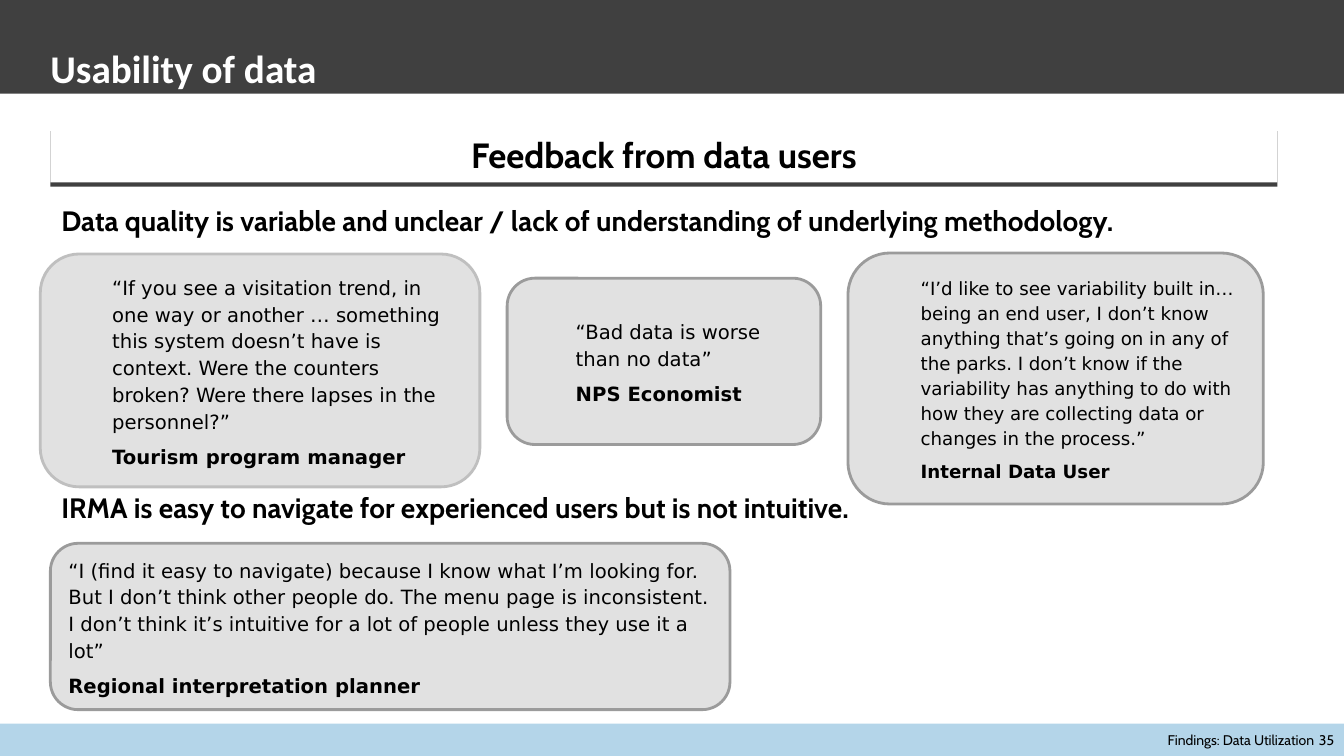
"""Build the slide on the usability of data with quotes from its users."""
from lxml.etree import SubElement as Sub
from pptx import Presentation as Deck
from pptx.dml.color import RGBColor as RGB
from pptx.enum.shapes import MSO_SHAPE as Kind
from pptx.enum.text import MSO_ANCHOR as Anchor, PP_ALIGN as Align
from pptx.oxml.ns import qn
from pptx.util import Inches, Pt

DARK, BLUE, GREY, BLACK, WHITE = "404040", "82BADB", "E1E1E1", "000000", "FFFFFF"
WIDE, HIGH, LEFT, SPAN = 13.33, 7.5, 0.5, 12.17
TITLE = "Usability of data"
BANNER = "Feedback from data users"
FOOTER = "Findings: Data Utilization \t35"
POINTS = [
    (1.97, "Data quality is variable and unclear / lack of understanding of underlying methodology."),
    (4.81, "IRMA is easy to navigate for experienced users but is not intuitive."),
]
QUOTES = [
    ((0.4, 2.52, 4.36, 2.31), "BFBFBF", 14, 0.5,
     "“If you see a visitation trend, in one way or another … something this system doesn’t have is "
     "context. Were the counters broken? Were there lapses in the personnel?”",
     "Tourism program manager"),
    ((8.41, 2.51, 4.12, 2.49), "9B9B9B", 13, 0.5,
     "“I’d like to see variability built in…being an end user, I don’t know anything that’s going on "
     "in any of the parks. I don’t know if the variability has anything to do with how they are "
     "collecting data or changes in the process.”",
     "Internal Data User"),
    ((5.03, 2.76, 3.11, 1.65), "9B9B9B", 14, 0.5,
     "“Bad data is worse than no data”",
     "NPS Economist"),
    ((0.5, 5.39, 6.74, 1.65), "9B9B9B", 14, 0,
     "“I (find it easy to navigate) because I know what I’m looking for. But I don’t think other "
     "people do. The menu page is inconsistent. I don’t think it’s intuitive for a lot of people "
     "unless they use it a lot”",
     "Regional interpretation planner"),
]
HEAD = {"name": "Calibri", "size": Pt(28), "bold": True}
BAND = {"name": "Cabin", "size": Pt(25), "bold": True}
POINT = {"name": "Cabin", "size": Pt(20), "bold": True}
FOOT = {"name": "Cabin", "size": Pt(10)}
LEFTED, MIDDLE, RIGHT = ({"alignment": a} for a in (Align.LEFT, Align.CENTER, Align.RIGHT))
SPEECH = {"alignment": Align.LEFT, "line_spacing": 1.14, "space_after": Pt(6)}


def apply(item, values):
    for key, value in values.items():
        setattr(item, key, value)


def tint(part, color):
    part.solid()
    part.fore_color.rgb = RGB.from_string(color)


def write(shape, lines, para, color=BLACK, anchor=Anchor.MIDDLE, **frame):
    box = shape.text_frame
    apply(box, {"word_wrap": True, "vertical_anchor": anchor, **frame})
    for i, (text, font) in enumerate(lines):
        p = box.add_paragraph() if i else box.paragraphs[0]
        apply(p, para)
        run = p.add_run()
        run.text = text
        apply(run.font, font)
        tint(run.font.fill, color)


def block(shapes, kind, place, fill, edge=None):
    shape = shapes.add_shape(kind, *map(Inches, place))
    shape.shadow.inherit = False
    tint(shape.fill, fill)
    if edge:
        tint(shape.line.fill, edge)
        shape.line.width = Pt(2)
    else:
        shape.line.fill.background()
    return shape


def label(shapes, place, *args, **frame):
    write(shapes.add_textbox(*map(Inches, place)), *args, **frame)


def fade(shape, share):
    tone = next(shape.element.iter(qn("a:srgbClr")))
    Sub(tone, qn("a:alpha"), val=str(share * 1000))


def drop(shape, color, gap):
    effect = shape.element.spPr.find(qn("a:effectLst"))
    shade = Sub(effect, qn("a:outerShdw"), blurRad="0", dist=str(Pt(gap)), dir="5400000",
                algn="t", rotWithShape="0")
    Sub(shade, qn("a:srgbClr"), val=color)


def main():
    deck = Deck()
    deck.slide_width, deck.slide_height = Inches(WIDE), Inches(HIGH)
    shapes = deck.slides.add_slide(deck.slide_layouts[6]).shapes

    block(shapes, Kind.RECTANGLE, (0, 0, WIDE, 0.93), DARK)
    fade(block(shapes, Kind.RECTANGLE, (0, 7.18, WIDE, 0.33), BLUE), 60)
    label(shapes, (LEFT, 0.02, 11.54, 0.89), [(TITLE, HEAD)], LEFTED, WHITE, Anchor.BOTTOM,
          margin_left=0, margin_bottom=0)
    for top, text in POINTS:
        label(shapes, (LEFT + 0.01, top, SPAN, 0.44), [(text, POINT)], LEFTED)
    label(shapes, (10.22, 7.2, 3.11, 0.28), [(FOOTER, FOOT)], RIGHT)

    band = block(shapes, Kind.RECTANGLE, (LEFT, 1.26, SPAN, 0.55), WHITE)
    drop(band, DARK, 3)
    write(band, [(BANNER, BAND)], MIDDLE)

    for place, edge, size, indent, quote, who in QUOTES:
        font = {"name": "DejaVu Sans", "size": Pt(size)}
        write(block(shapes, Kind.ROUNDED_RECTANGLE, place, GREY, edge),
              [(quote, font), (who, {**font, "bold": True})], SPEECH,
              margin_left=Inches(0.1 + indent))
    deck.save("out.pptx")


if __name__ == "__main__":
    main()
